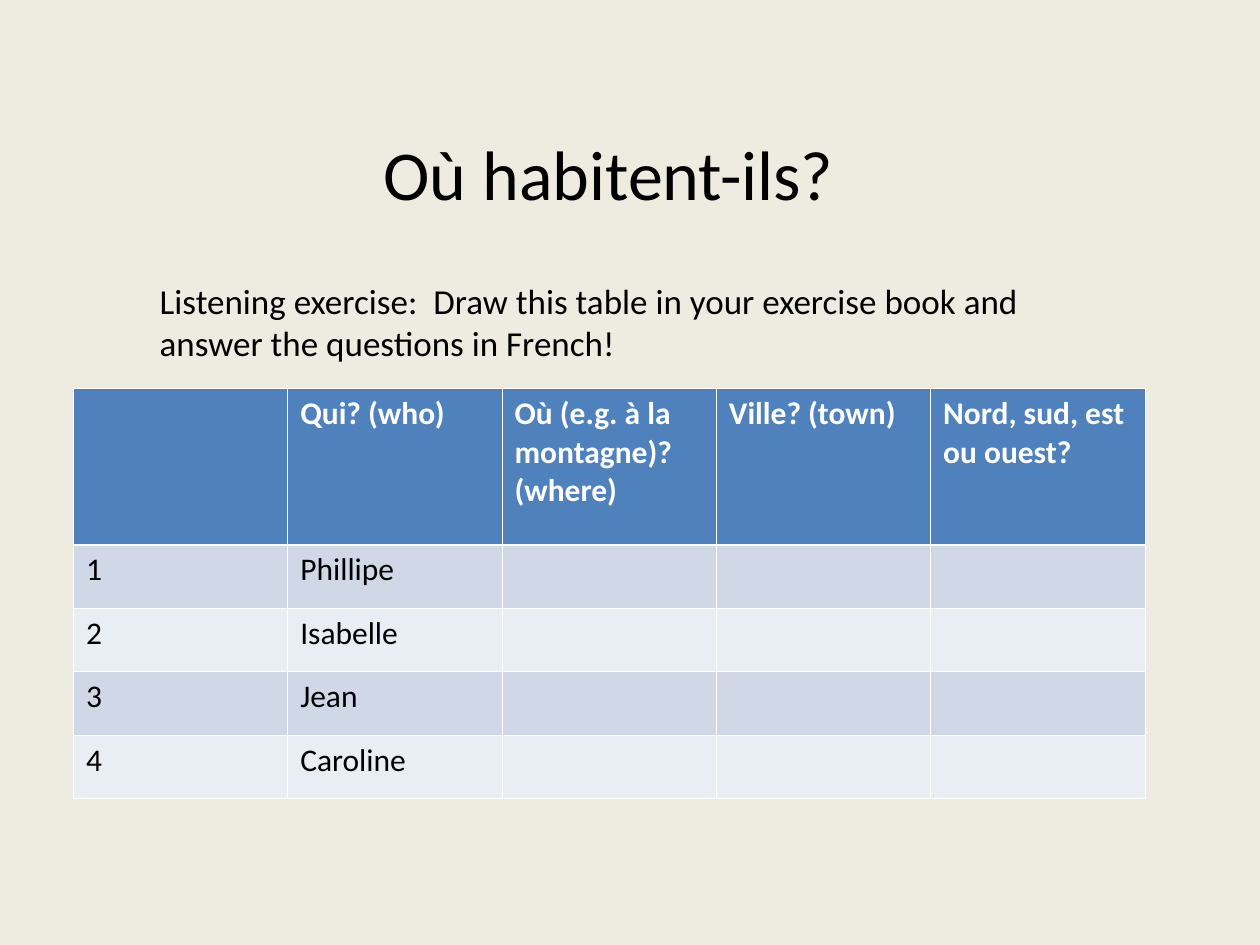
"""Build the French listening exercise slide with its answer table."""
from lxml import etree
from pptx import Presentation
from pptx.dml.color import RGBColor
from pptx.enum.text import MSO_ANCHOR, PP_ALIGN
from pptx.oxml.ns import qn
from pptx.util import Cm, Pt

CENTER, LEFT = PP_ALIGN.CENTER, PP_ALIGN.LEFT
TOP, MIDDLE = MSO_ANCHOR.TOP, MSO_ANCHOR.MIDDLE

CREAM = RGBColor(0xEE, 0xEC, 0xE1)
BLACK = RGBColor(0, 0, 0)
WHITE = RGBColor(0xFF, 0xFF, 0xFF)
BLUE = RGBColor(0x4F, 0x81, 0xBD)
BANDS = (RGBColor(0xE9, 0xED, 0xF4), RGBColor(0xD0, 0xD8, 0xE8))
FONT = "Calibri"

TITLE = "Où habitent-ils?"
INSTRUCTION = ("Listening exercise:  Draw this table in your exercise book "
               "and answer the questions in French!")
HEADINGS = ["", "Qui? (who)", "Où (e.g. à la montagne)? (where)",
            "Ville? (town)", "Nord, sud, est ou ouest?"]
PEOPLE = ["Phillipe", "Isabelle", "Jean", "Caroline"]

COLUMN_WIDTH, HEADING_HEIGHT, ANSWER_HEIGHT = Cm(4.32), Cm(3.15), Cm(1.28)
THIN, THICK = Pt(0.45), Pt(1.47)


def write(frame, text, size, color, bold=False, align=LEFT):
    frame.text = text
    paragraph = frame.paragraphs[0]
    paragraph.alignment = align
    font = paragraph.runs[0].font if text else paragraph.font
    font.name, font.size, font.bold = FONT, Pt(size), bold
    font.color.rgb = color


def add_text(slide, place, text, size, align, anchor):
    frame = slide.shapes.add_textbox(*map(Cm, place)).text_frame
    frame.word_wrap = True
    frame.vertical_anchor = anchor
    write(frame, text, size, BLACK, align=align)


def set_borders(cell, top, bottom):
    properties = cell._tc.get_or_add_tcPr()
    widths = {"a:lnL": THIN, "a:lnR": THIN, "a:lnT": top, "a:lnB": bottom}
    for position, (tag, width) in enumerate(widths.items()):
        line = etree.Element(qn(tag), w=str(int(width)))
        fill = etree.SubElement(line, qn("a:solidFill"))
        etree.SubElement(fill, qn("a:srgbClr"), val=str(WHITE))
        properties.insert(position, line)


def add_answer_table(slide):
    rows = [HEADINGS]
    for number, person in enumerate(PEOPLE, 1):
        rows.append([str(number), person] + [""] * (len(HEADINGS) - 2))
    table = slide.shapes.add_table(
        len(rows), len(HEADINGS), Cm(1.48), Cm(7.83),
        COLUMN_WIDTH * len(HEADINGS),
        HEADING_HEIGHT + ANSWER_HEIGHT * len(PEOPLE)).table
    for column in table.columns:
        column.width = COLUMN_WIDTH
    for r, row in enumerate(rows):
        heading = r == 0
        table.rows[r].height = HEADING_HEIGHT if heading else ANSWER_HEIGHT
        for c, text in enumerate(row):
            cell = table.cell(r, c)
            cell.fill.solid()
            cell.fill.fore_color.rgb = BLUE if heading else BANDS[r % 2]
            write(cell.text_frame, text, 18, WHITE if heading else BLACK, heading)
            set_borders(cell, THICK if r == 1 else THIN, THICK if heading else THIN)


def main():
    deck = Presentation()
    deck.slide_width, deck.slide_height = Cm(25.4), Cm(19.05)
    slide = deck.slides.add_slide(deck.slide_layouts[6])
    slide.background.fill.solid()
    slide.background.fill.fore_color.rgb = CREAM
    add_text(slide, (0.84, 1.88, 22.86, 3.18), TITLE, 40, CENTER, MIDDLE)
    add_text(slide, (2.97, 5.51, 18.85, 1.96), INSTRUCTION, 20, LEFT, TOP)
    add_answer_table(slide)
    deck.save("out.pptx")


if __name__ == "__main__":
    main()
